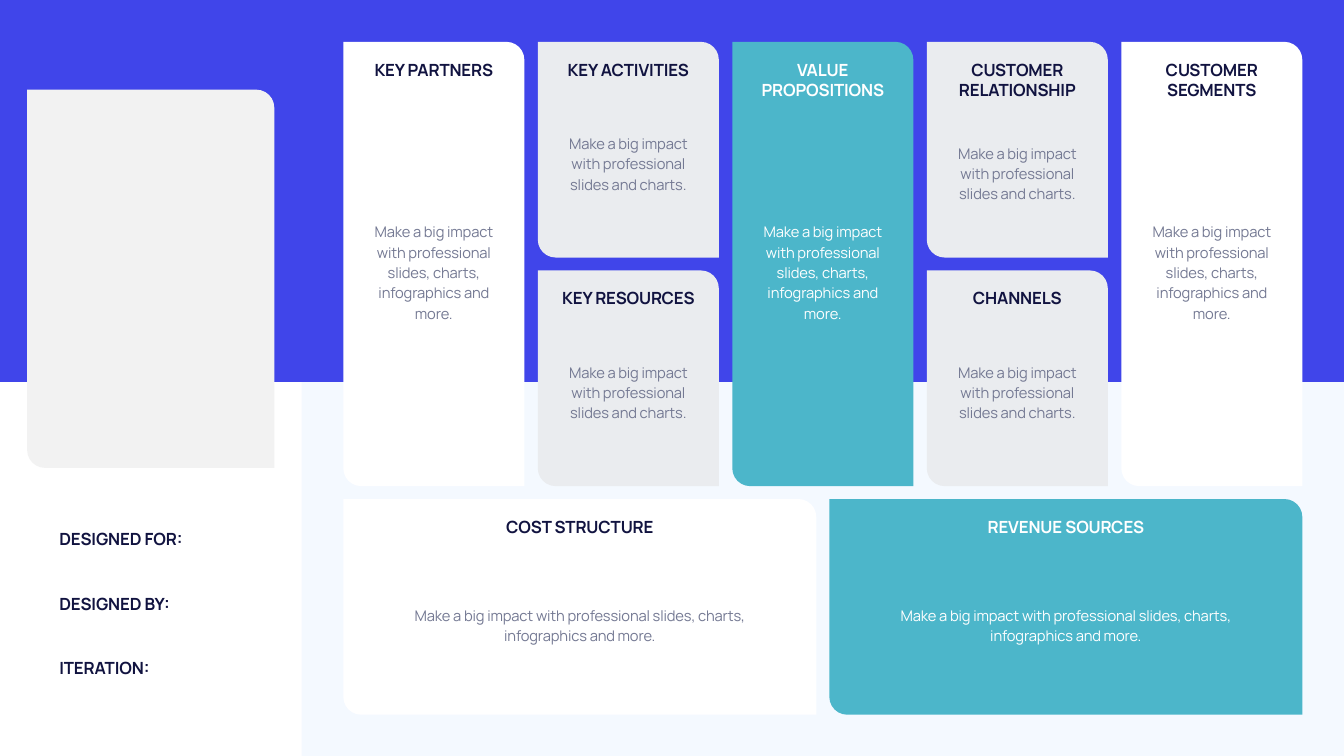
from pptx import Presentation
from pptx.dml.color import RGBColor
from pptx.enum.shapes import MSO_SHAPE
from pptx.enum.text import MSO_ANCHOR, MSO_AUTO_SIZE, PP_ALIGN
from pptx.util import Cm, Pt

WHITE = RGBColor(0xFF, 0xFF, 0xFF)
BLUE = RGBColor(0x40, 0x45, 0xEA)
PALE = RGBColor(0xF4, 0xF9, 0xFF)
TEAL = RGBColor(0x4C, 0xB6, 0xCA)
MIST = RGBColor(0xEA, 0xEC, 0xEF)
PANEL = RGBColor(0xF2, 0xF2, 0xF2)
NAVY = RGBColor(0x11, 0x13, 0x40)
GREY = RGBColor(0x74, 0x79, 0x93)

LONG = "Make a big impact with professional slides, charts, infographics and more."
SHORT = "Make a big impact with professional slides and charts."

# Kind: width, height, side margin, lines of body text, middle of body below card top
KINDS = {
    "tall": (9.12, 22.39, 0.76, 5, 11.56),
    "half": (9.12, 10.87, 0.76, 3, 6.08),
    "low half": (9.12, 10.87, 0.76, 3, 6.57),
    "wide": (23.83, 10.87, 2.05, 2, 6.3),
}

# Heading, kind, column, row, fill, body
CARDS = [
    ("KEY PARTNERS", "tall", 0, 0, WHITE, LONG),
    ("KEY ACTIVITIES", "half", 1, 0, MIST, SHORT),
    ("KEY RESOURCES", "half", 1, 1, MIST, SHORT),
    ("VALUE\nPROPOSITIONS", "tall", 2, 0, TEAL, LONG),
    ("CUSTOMER RELATIONSHIP", "low half", 3, 0, MIST, SHORT),
    ("CHANNELS", "half", 3, 1, MIST, SHORT),
    ("CUSTOMER\nSEGMENTS", "tall", 4, 0, WHITE, LONG),
    ("COST STRUCTURE", "wide", 0, 2, WHITE, LONG),
    ("REVENUE SOURCES", "wide", 2.5, 2, TEAL, LONG),
]
LABELS = ["DESIGNED FOR:", "DESIGNED BY:", "ITERATION:"]

SLIDE_W, SLIDE_H = 67.72, 38.1
LEFT, TOP = 17.3, 2.11
COL_STEP, ROW_STEP = 9.8, 11.52
WIDE_STEP = 24.49
RADIUS = 0.9
LINE = 29
LINE_CM = LINE * 2.54 / 72


def add_block(s, shape_type, x, y, w, h, fill):
    sp = s.shapes.add_shape(shape_type, Cm(x), Cm(y), Cm(w), Cm(h))
    sp.shadow.inherit = False
    sp.fill.solid()
    sp.fill.fore_color.rgb = fill
    sp.line.fill.background()
    return sp


def add_card(s, x, y, w, h, fill):
    """Panel rounded at the top right and bottom left."""
    sp = add_block(s, MSO_SHAPE.ROUND_2_DIAG_RECTANGLE, x, y, w, h, fill)
    sp.adjustments[0] = 0
    sp.adjustments[1] = RADIUS / min(w, h)


def add_text(s, text, x, y, w, h, color, size=24, bold=True,
             align=PP_ALIGN.CENTER, anchor=MSO_ANCHOR.TOP, spacing=None):
    tf = s.shapes.add_textbox(Cm(x), Cm(y), Cm(w), Cm(h)).text_frame
    tf.word_wrap = True
    tf.auto_size = MSO_AUTO_SIZE.SHAPE_TO_FIT_TEXT
    tf.vertical_anchor = anchor
    tf.text = text
    for p in tf.paragraphs:
        p.alignment = align
        p.line_spacing = spacing
        for r in p.runs:
            r.font.name = "Manrope"
            r.font.size = Pt(size)
            r.font.bold = bold
            r.font.color.rgb = color
            r.font._element.set("spc", "-20")


def add_canvas_card(s, heading, kind, col, row, fill, body):
    w, h, margin, lines, middle = KINDS[kind]
    step = WIDE_STEP / 2.5 if kind == "wide" else COL_STEP
    x, y = LEFT + col * step, TOP + row * ROW_STEP
    on_teal = fill == TEAL
    add_card(s, x, y, w, h, fill)

    text_x, text_w = x + margin, w - 2 * margin
    heading_h = 2.31 if heading.startswith(("VALUE", "CUSTOMER")) else 1.27
    add_text(s, heading, text_x, y + 0.77, text_w, heading_h,
             WHITE if on_teal else NAVY)
    body_h = lines * LINE_CM + 0.25
    add_text(s, body, text_x, y + middle - body_h / 2, text_w, body_h,
             WHITE if on_teal else GREY, size=21, bold=False,
             anchor=MSO_ANCHOR.MIDDLE, spacing=Pt(LINE))


def main():
    prs = Presentation()
    prs.slide_width, prs.slide_height = Cm(SLIDE_W), Cm(SLIDE_H)
    s = prs.slides.add_slide(prs.slide_layouts[6])

    add_block(s, MSO_SHAPE.RECTANGLE, 15.2, 0, SLIDE_W - 15.2, SLIDE_H, PALE)
    add_block(s, MSO_SHAPE.RECTANGLE, 0, 0, SLIDE_W, 19.25, BLUE)
    add_card(s, 1.37, 4.52, 12.45, 19.06, PANEL)

    for card in CARDS:
        add_canvas_card(s, *card)

    for i, label in enumerate(LABELS):
        add_text(s, label, 2.74, 26.52 + i * 3.25, 9.58, 1.27, NAVY,
                 align=PP_ALIGN.LEFT, anchor=MSO_ANCHOR.MIDDLE)

    prs.save("out.pptx")


if __name__ == "__main__":
    main()
